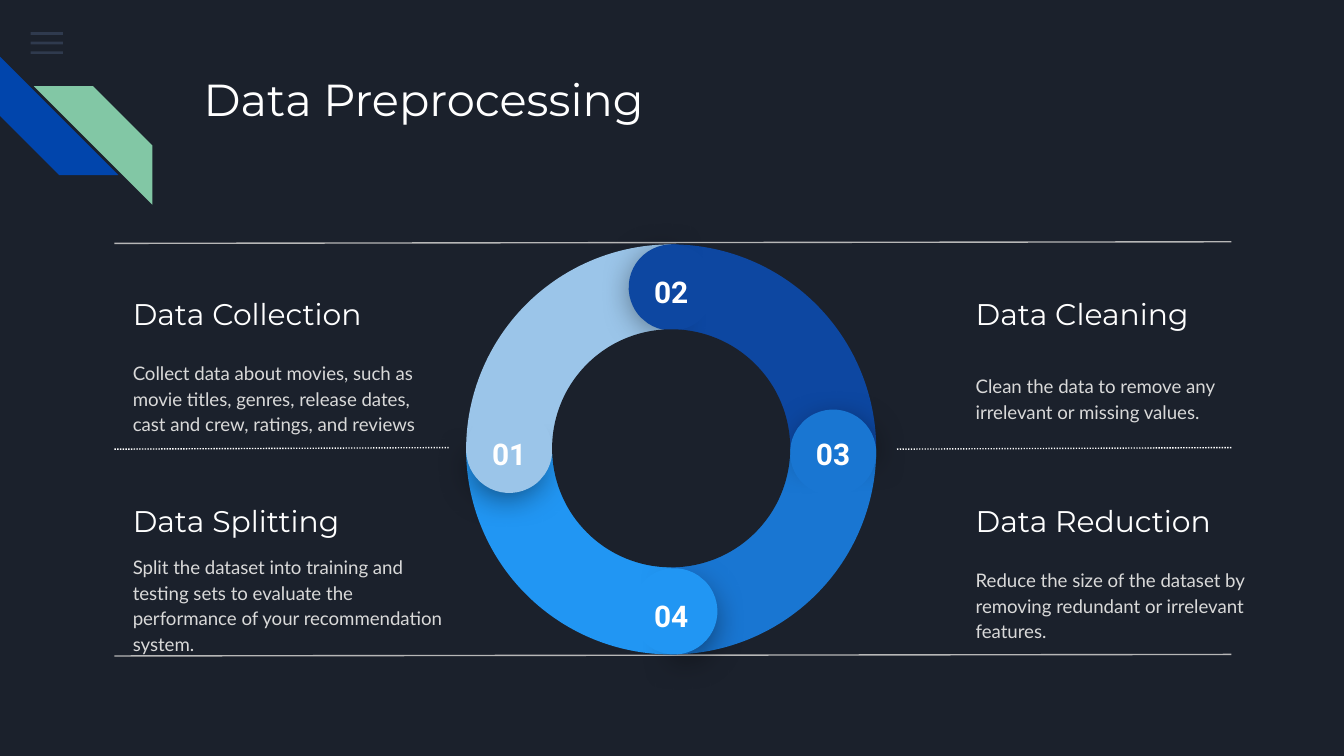
from dataclasses import dataclass
from math import cos, radians, sin

from lxml.etree import SubElement
from pptx import Presentation
from pptx.dml.color import RGBColor
from pptx.enum.dml import MSO_LINE_DASH_STYLE as Dash
from pptx.enum.shapes import MSO_CONNECTOR as Link, MSO_SHAPE as Kind
from pptx.enum.text import MSO_ANCHOR as Anchor, PP_ALIGN as Align
from pptx.oxml.ns import qn
from pptx.util import Cm, Pt


@dataclass(frozen=True)
class Theme:
    back: str = "1B212C"
    white: str = "FFFFFF"
    body: str = "D9D9D9"
    rule: str = "B7B7B7"
    menu: str = "55688B"
    blue: str = "0145AC"
    green: str = "82C7A5"
    ring: tuple = ("9BC5E9", "0D47A1", "1976D2", "2196F3")
    title_size: int = 24
    head_size: int = 16
    body_size: int = 10


THEME = Theme()
HEAD, BODY, LABEL = "Montserrat", "Lato", "Roboto"

# Column left, row top, text width, heading, text
STEPS = [
    (2.26, 5.31, 5.99, "Data Collection",
     "Collect data about movies, such as movie titles, genres, release dates, "
     "cast and crew, ratings, and reviews"),
    (2.26, 9.22, 6.71, "Data Splitting",
     "Split the dataset into training and testing sets to evaluate the "
     "performance of your recommendation system."),
    (18.19, 5.31, 5.54, "Data Cleaning",
     "Clean the data to remove any irrelevant or missing values."),
    (18.19, 9.22, 5.72, "Data Reduction",
     "Reduce the size of the dataset by removing redundant or irrelevant features."),
]
RULES = [
    (23.27, 4.57, 2.16, THEME.rule, None),
    (8.48, 8.46, 2.16, THEME.white, Dash.ROUND_DOT),
    (23.27, 8.46, 16.94, THEME.white, Dash.ROUND_DOT),
    (23.27, 12.37, 2.16, THEME.rule, None),
]


def add_form(slide, kind, box, color, turn=0, adjust=()):
    form = slide.shapes.add_shape(kind, *map(Cm, box))
    form.shadow.inherit = False
    form.fill.solid()
    form.fill.fore_color.rgb = RGBColor.from_string(color)
    form.line.fill.background()
    form.rotation = turn
    for i, value in enumerate(adjust):
        form.adjustments[i] = value
    return form


def add_text(slide, box, text, font, size, color, anchor=Anchor.TOP):
    """Add one paragraph in a wrapped text box and return the paragraph."""
    frame = slide.shapes.add_textbox(*map(Cm, box)).text_frame
    frame.word_wrap = True
    frame.vertical_anchor = anchor
    frame.margin_left = frame.margin_right = Cm(0.25)
    frame.margin_top = frame.margin_bottom = Cm(0.25)
    para = frame.paragraphs[0]
    para.text = text
    para.font.name = font
    para.font.size = Pt(size)
    para.font.color.rgb = RGBColor.from_string(color)
    return para


def add_rule(slide, start, top, end, color, dash):
    line = slide.shapes.add_connector(
        Link.STRAIGHT, Cm(start), Cm(top), Cm(end), Cm(top + 0.03))
    line.line.color.rgb = RGBColor.from_string(color)
    line.line.width = Pt(0.75)
    if dash:
        line.line.dash_style = dash
    SubElement(line.element.spPr, qn("a:effectLst"))


def set_alpha(tint, percent):
    SubElement(tint, qn("a:alpha"), val=str(percent * 1000))


def cast_shadow(form):
    effects = form.element.spPr.find(qn("a:effectLst"))
    shadow = SubElement(
        effects, qn("a:outerShdw"), blurRad=str(Pt(18)), dist=str(Pt(4)),
        dir="5400000", algn="bl", rotWithShape="0")
    set_alpha(SubElement(shadow, qn("a:srgbClr"), val="000000"), 55)


def draw_menu(slide, left, top, width):
    for i in range(3):
        bar = add_form(slide, Kind.RECTANGLE,
                       (left, top + 0.18 * i, width, 0.05), THEME.menu)
        set_alpha(next(bar.element.spPr.iter(qn("a:srgbClr"))), 36)


def draw_stripes(slide, left, top, size):
    add_form(slide, Kind.DIAGONAL_STRIPE, (left, top, size, size),
             THEME.blue, 270, [0.5])
    green = add_form(slide, Kind.DIAGONAL_STRIPE,
                     (left + 0.64, top + 0.56, size, size), THEME.green, 0, [0.5])
    green.element.spPr.find(qn("a:xfrm")).set("flipH", "1")


def draw_step(slide, left, top, width, head, text):
    add_text(slide, (left, top, 5.16, 1.24), head, HEAD,
             THEME.head_size, THEME.white, Anchor.MIDDLE)
    para = add_text(slide, (left, top + 1.23, width, 1.93), text, BODY,
                    THEME.body_size, THEME.body, Anchor.MIDDLE)
    para.line_spacing = 1.15
    para.space_after = Pt(16)


def draw_ring(slide, left, top, size):
    """Draw four quarters with rounded, numbered ends around a hole."""
    mid_x, mid_y = left + size / 2, top + size / 2

    def centred(x, y, width, height):
        return x - width / 2, y - height / 2, width, height

    for i, color in enumerate(THEME.ring):
        add_form(slide, Kind.PIE, (left, top, size, size), color, 90 * i, [108, 162])

    # Each end sits slightly off its axis, along the ring
    for i, slip in ((0, 0.01), (3, 0.06), (2, -0.06), (1, -0.01)):
        angle = radians(180 + 90 * i)
        out_x, out_y = cos(angle), sin(angle)

        def spot(radius, shift=0):
            return (mid_x + radius * out_x + shift * out_y,
                    mid_y + radius * out_y - shift * out_x)

        color = THEME.ring[i]
        end = add_form(slide, Kind.PIE, centred(*spot(3.12, slip), 1.45, 1.45),
                       color, 39.5 + 90 * i, [189.54, 83.81])
        cast_shadow(end)
        add_form(slide, Kind.CHORD, centred(*spot(3.06, slip), 1.63, 1.63),
                 color, 4.1 + 90 * i, [25.01, 18.12])
        x, y = spot(3.06)
        para = add_text(slide, centred(x, y - 0.14, 1.42, 0.74), f"{i + 1:02}",
                        LABEL, THEME.head_size, THEME.white)
        para.alignment = Align.CENTER
        para.font.bold = True

    add_form(slide, Kind.OVAL, centred(mid_x, mid_y - 0.02, 4.5, 4.5), THEME.back)


def main():
    deck = Presentation()
    deck.slide_width, deck.slide_height = Cm(25.4), Cm(14.29)
    slide = deck.slides.add_slide(deck.slide_layouts[6])
    slide.background.fill.solid()
    slide.background.fill.fore_color.rgb = RGBColor.from_string(THEME.back)

    draw_menu(slide, 0.58, 0.61, 0.61)
    draw_stripes(slide, 0, 1.07, 2.24)
    add_text(slide, (3.6, 1.1, 19.56, 2.54), "Data Preprocessing", HEAD,
             THEME.title_size, THEME.white)
    for step in STEPS:
        draw_step(slide, *step)
    for rule in RULES:
        add_rule(slide, *rule)
    draw_ring(slide, 8.81, 4.62, 7.75)
    deck.save("out.pptx")


if __name__ == "__main__":
    main()
